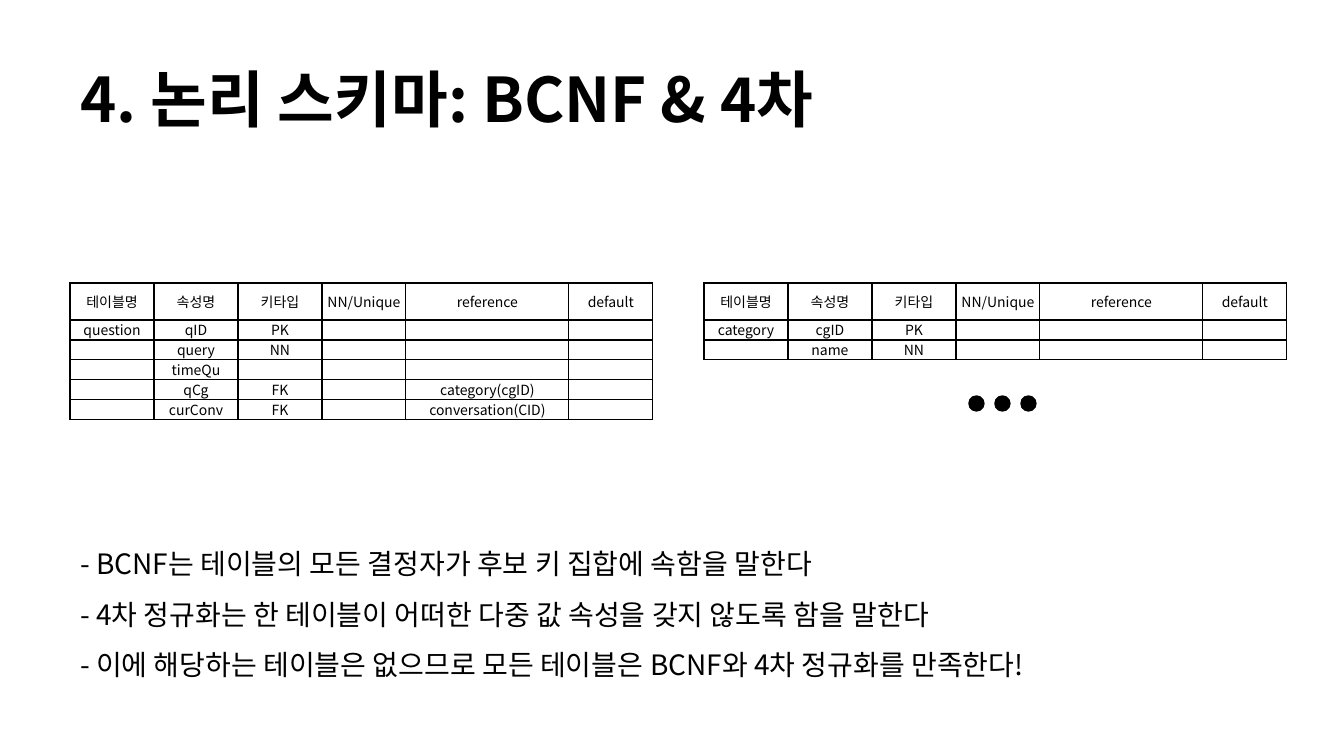
from lxml import etree
from pptx import Presentation
from pptx import util as u
from pptx.dml.color import RGBColor
from pptx.enum import shapes, text
from pptx.oxml.ns import qn

PX = u.Inches(1) / 100.8
FONT = "Noto Sans CJK KR"
BLACK = "000000"
COLUMN_WIDTHS = [84, 84, 84, 84, 163, 84]
HEADER_HEIGHT, ROW_HEIGHT = 37, 20
HEADER = ["테이블명", "속성명", "키타입", "NN/Unique", "reference", "default"]
QUESTION_ROWS = [
    ["question", "qID", "PK", "", "", ""],
    ["", "query", "NN", "", "", ""],
    ["", "timeQu", "", "", "", ""],
    ["", "qCg", "FK", "", "category(cgID)", ""],
    ["", "curConv", "FK", "", "conversation(CID)", ""],
]
CATEGORY_ROWS = [
    ["category", "cgID", "PK", "", "", ""],
    ["", "name", "NN", "", "", ""],
]
NOTES = [
    "- BCNF는 테이블의 모든 결정자가 후보 키 집합에 속함을 말한다",
    "- 4차 정규화는 한 테이블이 어떠한 다중 값 속성을 갖지 않도록 함을 말한다",
    "- 이에 해당하는 테이블은 없으므로 모든 테이블은 BCNF와 4차 정규화를 만족한다!",
]


def px(length):
    return u.Emu(round(length * PX))


def color(hex_string):
    return RGBColor.from_string(hex_string)


def place(shape, left, top, width, height):
    shape.left, shape.top = px(left), px(top)
    shape.width, shape.height = px(width), px(height)


def add_run(paragraph, words, size, bold=False):
    run = paragraph.add_run()
    run.text = words
    run.font.size = u.Pt(size)
    run.font.bold = bold
    run.font.name = FONT
    run.font.color.rgb = color(BLACK)
    # East Asian typeface follows the Latin one
    latin = run.font._element.find(qn("a:latin"))
    east_asian = etree.Element(qn("a:ea"), typeface=FONT)
    latin.addnext(east_asian)


def fill_title(title, words):
    place(title, 70, 30, 1206, 146)
    frame = title.text_frame
    frame.auto_size = text.MSO_AUTO_SIZE.NONE
    frame.vertical_anchor = text.MSO_ANCHOR.MIDDLE
    paragraph = frame.paragraphs[0]
    paragraph.alignment = text.PP_ALIGN.LEFT
    paragraph.line_spacing = 0.9
    add_run(paragraph, words, 44, bold=True)


def fill_notes(body, lines):
    place(body, 70, 525, 1206, 158)
    frame = body.text_frame
    frame.auto_size = text.MSO_AUTO_SIZE.SHAPE_TO_FIT_TEXT
    for index, line in enumerate(lines):
        paragraph = frame.add_paragraph() if index else frame.paragraphs[0]
        paragraph.line_spacing = u.Pt(36)
        paragraph.space_before = u.Pt(0)
        # The dash is typed, so the list has no bullet or indent
        properties = paragraph._p.get_or_add_pPr()
        properties.set("marL", "0")
        properties.set("indent", "0")
        etree.SubElement(properties, qn("a:buNone"))
        add_run(paragraph, line, 20)


def add_borders(cell):
    properties = cell._tc.get_or_add_tcPr()
    for side in ("a:lnL", "a:lnR", "a:lnT", "a:lnB"):
        line = etree.SubElement(properties, qn(side), w=str(u.Pt(1)))
        fill = etree.SubElement(line, qn("a:solidFill"))
        etree.SubElement(fill, qn("a:srgbClr"), val=BLACK)


def fill_cell(cell, words):
    add_borders(cell)
    cell.fill.background()
    cell.margin_left = cell.margin_right = cell.margin_top = u.Inches(0.01)
    cell.margin_bottom = 0
    cell.vertical_anchor = text.MSO_ANCHOR.MIDDLE
    paragraph = cell.text_frame.paragraphs[0]
    paragraph.alignment = text.PP_ALIGN.CENTER
    paragraph.line_spacing = u.Pt(13)
    if words:
        add_run(paragraph, words, 10)
    else:
        # Keeps an empty cell from stretching its row
        etree.SubElement(paragraph._p, qn("a:endParaRPr"), sz="1000")


def add_schema_table(slide, left, top, records):
    rows = [HEADER] + records
    height = HEADER_HEIGHT + ROW_HEIGHT * len(records)
    table = slide.shapes.add_table(
        len(rows), len(HEADER), px(left), px(top),
        px(sum(COLUMN_WIDTHS)), px(height)).table
    table.first_row = table.horz_banding = False
    for column, width in zip(table.columns, COLUMN_WIDTHS):
        column.width = px(width)
    for index, values in enumerate(rows):
        table.rows[index].height = px(ROW_HEIGHT if index else HEADER_HEIGHT)
        for position, words in enumerate(values):
            fill_cell(table.cell(index, position), words)


def add_dot(slide, left, top, size):
    dot = slide.shapes.add_shape(
        shapes.MSO_SHAPE.OVAL, px(left), px(top), px(size), px(size))
    dot.shadow.inherit = False
    dot.fill.solid()
    dot.fill.fore_color.rgb = color(BLACK)
    dot.line.color.rgb = color(BLACK)
    dot.line.width = u.Pt(1)


def main():
    presentation = Presentation()
    presentation.slide_width, presentation.slide_height = px(1344), px(756)
    slide = presentation.slides.add_slide(presentation.slide_layouts[1])

    # Heading and explanation
    fill_title(slide.shapes.title, "4. 논리 스키마: BCNF & 4차")
    fill_notes(slide.placeholders[1], NOTES)

    # Schema tables
    add_schema_table(slide, 70, 283, QUESTION_ROWS)
    add_schema_table(slide, 704, 283, CATEGORY_ROWS)

    # Ellipsis: more tables follow
    for index in range(3):
        add_dot(slide, 969 + 26 * index, 396, 15)

    presentation.save("out.pptx")


if __name__ == "__main__":
    main()
